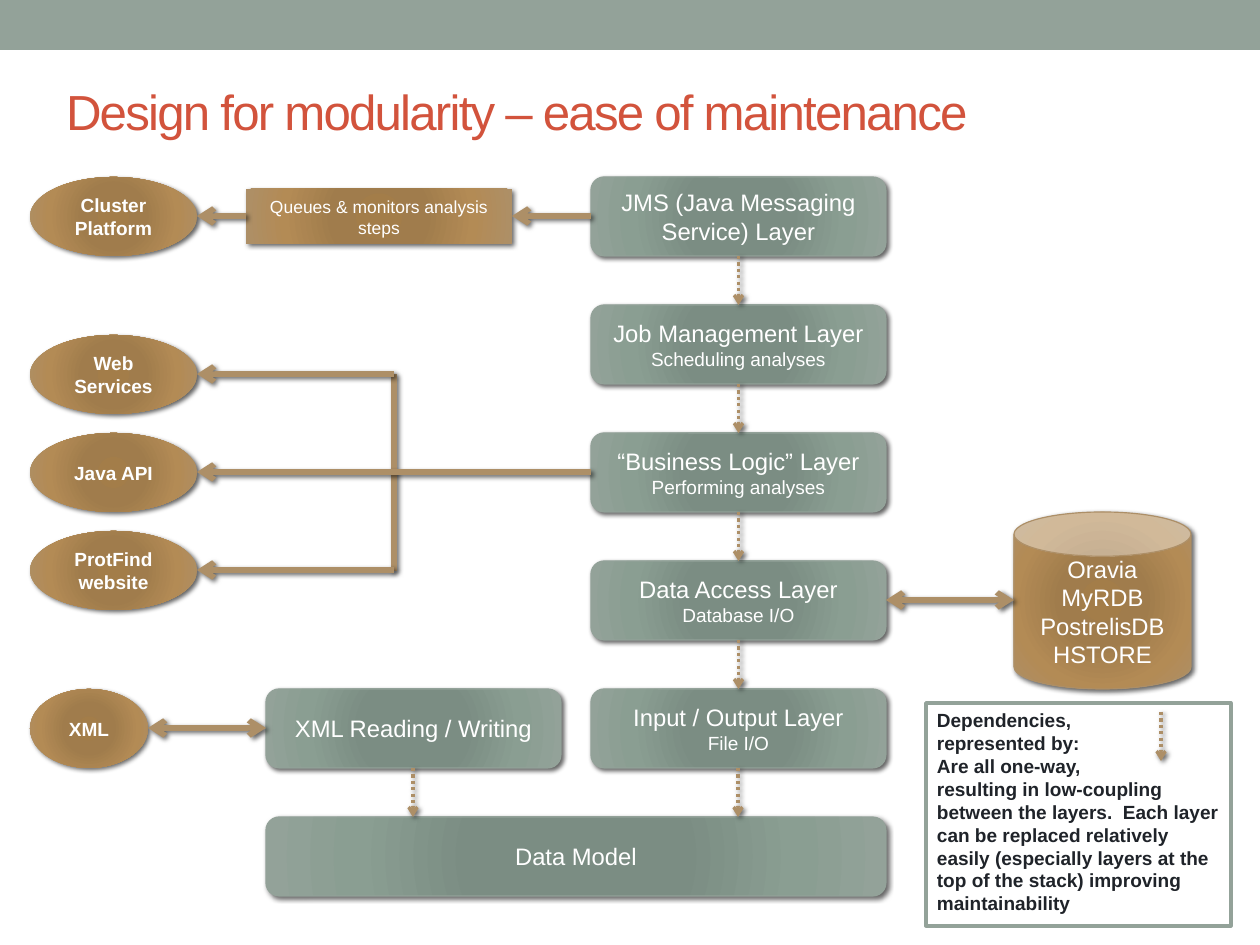
from dataclasses import dataclass
from itertools import pairwise

from lxml.etree import SubElement
from pptx import Presentation
from pptx.dml.color import RGBColor
from pptx.enum.dml import MSO_LINE_DASH_STYLE as Dash
from pptx.enum.shapes import MSO_CONNECTOR as Connector, MSO_SHAPE as Preset
from pptx.enum.text import MSO_ANCHOR as Anchor, MSO_AUTO_SIZE as AutoSize, PP_ALIGN as Align
from pptx.oxml.ns import qn
from pptx.util import Pt


@dataclass(frozen=True)
class Theme:
    font: str = "Arial"
    title: str = "D2533C"
    sage: str = "93A299"
    tan: str = "AD8F67"
    white: str = "FFFFFF"
    ink: str = "1F2329"
    shadow: str = "000000"
    sage_stops: tuple = ("7B8E82", "7B8D83", "8A9E92", "93A299")
    tan_stops: tuple = ("A37D49", "A07C4C", "B38B55", "AD8F67")
    stop_places: tuple = (0, 34, 70, 100)
    title_size: int = 31
    heading_size: int = 15
    body_size: int = 12
    small_size: int = 11
    flow_width: float = 3.5
    dependency_width: float = 2


THEME = Theme()
BOX_WIDTH, BOX_HEIGHT = 295, 79
COLUMN_LEFT, MODEL_LEFT = 591, 266
STACK_TOP, STACK_STEP = 177, 128
CLIENT_LEFT, CLIENT_WIDTH = 30, 167


def px(length):
    return length * 8000


def rgb(code):
    return RGBColor.from_string(code)


def add_shadow(effects):
    shadow = SubElement(effects, qn("a:outerShdw"), blurRad=str(Pt(3)), dist=str(Pt(2)),
                        dir="2700000", algn="tl", rotWithShape="0")
    color = SubElement(shadow, qn("a:srgbClr"), val=THEME.shadow)
    SubElement(color, qn("a:alpha"), val="60000")


def fill_radial(shape, colors):
    shape.fill.background()
    properties = shape.element.spPr
    gradient = SubElement(properties, qn("a:gradFill"), rotWithShape="1")
    stops = SubElement(gradient, qn("a:gsLst"))
    for place, color in zip(THEME.stop_places, colors):
        stop = SubElement(stops, qn("a:gs"), pos=str(place * 1000))
        SubElement(stop, qn("a:srgbClr"), val=color)
    circle = SubElement(gradient, qn("a:path"), {"path": "circle"})
    SubElement(circle, qn("a:fillToRect"), dict.fromkeys("ltrb", "100000"))
    properties.replace(properties.find(qn("a:noFill")), gradient)


def write(frame, lines, color, bold=False, align=Align.CENTER, anchor=Anchor.MIDDLE, inset=(13, 7)):
    frame.word_wrap = True
    frame.auto_size = AutoSize.NONE
    frame.vertical_anchor = anchor
    frame.margin_left = frame.margin_right = px(inset[0])
    frame.margin_top = frame.margin_bottom = px(inset[1])
    for index, (text, size) in enumerate(lines):
        paragraph = frame.add_paragraph() if index else frame.paragraphs[0]
        paragraph.alignment = align
        run = paragraph.add_run()
        run.text = text
        run.font.name = THEME.font
        run.font.size = Pt(size)
        run.font.bold = bold
        run.font.color.rgb = rgb(color)


def add_panel(slide, preset, place, fill, line=None, line_width=0.75):
    shape = slide.shapes.add_shape(preset, *map(px, place))
    if line:
        shape.line.color.rgb = rgb(line)
        shape.line.width = Pt(line_width)
    else:
        shape.line.fill.background()
    shape.shadow.inherit = False
    if isinstance(fill, tuple):
        fill_radial(shape, fill)
        add_shadow(shape.element.spPr.find(qn("a:effectLst")))
    else:
        shape.fill.solid()
        shape.fill.fore_color.rgb = rgb(fill)
    return shape


def add_layer(slide, left, top, title, detail=None, width=BOX_WIDTH):
    box = add_panel(slide, Preset.ROUNDED_RECTANGLE, (left, top, width, BOX_HEIGHT),
                    THEME.sage_stops, THEME.sage)
    lines = [(title, THEME.heading_size)]
    if detail:
        lines.append((detail, THEME.body_size))
    write(box.text_frame, lines, THEME.white)
    return box


def add_client(slide, top, text, width=CLIENT_WIDTH):
    oval = add_panel(slide, Preset.OVAL, (CLIENT_LEFT, top, width, BOX_HEIGHT), THEME.tan_stops)
    write(oval.text_frame, [(text, THEME.body_size)], THEME.white, bold=True)


def add_line(slide, start, end, ends=("tailEnd",), width=THEME.flow_width, dash=None):
    line = slide.shapes.add_connector(Connector.STRAIGHT, *map(px, (*start, *end)))
    line.line.color.rgb = rgb(THEME.tan)
    line.line.width = Pt(width)
    if dash:
        line.line.dash_style = dash
    properties = line.element.spPr
    for name in ends:
        SubElement(properties.find(qn("a:ln")), qn(f"a:{name}"), type="arrow")
    add_shadow(SubElement(properties, qn("a:effectLst")))
    return line


def add_dependency(slide, x, top):
    return add_line(slide, (x, top), (x, top + STACK_STEP - BOX_HEIGHT),
                    width=THEME.dependency_width, dash=Dash.ROUND_DOT)


def add_title(slide, text):
    title = slide.shapes.title
    title.left, title.top, title.width, title.height = map(px, (53, 39, 1138, 144))
    write(title.text_frame, [(text, THEME.title_size)], THEME.title, align=Align.LEFT)
    title.text_frame.paragraphs[0].runs[0].font._element.set("spc", "-110")


def add_stack(slide):
    layers = [("JMS (Java Messaging Service) Layer", None),
              ("Job Management Layer", "Scheduling analyses"),
              ("“Business Logic” Layer", "Performing analyses"),
              ("Data Access Layer", "Database I/O"),
              ("Input / Output Layer", "File I/O")]
    boxes = [add_layer(slide, COLUMN_LEFT, STACK_TOP + index * STACK_STEP, *layer)
             for index, layer in enumerate(layers)]
    io_top = STACK_TOP + 4 * STACK_STEP
    add_layer(slide, MODEL_LEFT, io_top, "XML Reading / Writing")
    add_layer(slide, MODEL_LEFT, io_top + STACK_STEP, "Data Model",
              width=COLUMN_LEFT + BOX_WIDTH - MODEL_LEFT)
    middle = COLUMN_LEFT + BOX_WIDTH // 2
    for index, (upper, lower) in enumerate(pairwise(boxes)):
        arrow = add_dependency(slide, middle, STACK_TOP + index * STACK_STEP + BOX_HEIGHT)
        arrow.begin_connect(upper, 2)
        arrow.end_connect(lower, 0)
    for x in (MODEL_LEFT + BOX_WIDTH // 2, middle):
        add_dependency(slide, x, io_top + BOX_HEIGHT)


def add_clients(slide):
    client_right, trunk = CLIENT_LEFT + CLIENT_WIDTH, 394
    add_client(slide, STACK_TOP, "Cluster Platform")
    queue = add_panel(slide, Preset.RECTANGLE, (246, 189, 266, 55), THEME.tan_stops)
    write(queue.text_frame, [("Queues & monitors analysis steps", THEME.small_size)],
          THEME.white, anchor=Anchor.TOP)
    for start, end in ((COLUMN_LEFT, 512), (246, client_right)):
        add_line(slide, (start, 216), (end, 216))

    add_line(slide, (trunk, 571), (trunk, 374), ends=())
    for index, (text, start) in enumerate([("Web Services", trunk), ("Java API", COLUMN_LEFT),
                                           ("ProtFind website", trunk)]):
        top = 335 + 98 * index
        add_client(slide, top, text)
        add_line(slide, (start, top + 39), (client_right, top + 39))

    add_client(slide, 689, "XML", width=118)
    add_line(slide, (148, 728), (MODEL_LEFT, 728), ends=("headEnd", "tailEnd"))


def add_databases(slide):
    store = add_panel(slide, Preset.CAN, (1014, 512, 177, 177), THEME.tan_stops, THEME.tan)
    names = ("Oravia", "MyRDB", "PostrelisDB", "HSTORE")
    write(store.text_frame, [(name, THEME.heading_size) for name in names], THEME.white)
    add_line(slide, (COLUMN_LEFT + BOX_WIDTH, 600), (1014, 600), ends=("headEnd", "tailEnd"))


def add_note(slide):
    note = add_panel(slide, Preset.RECTANGLE, (926, 703, 305, 223), THEME.white, THEME.sage, 2.08)
    lines = ("Dependencies,", "represented by:", "Are all one-way,",
             "resulting in low-coupling between the layers.  Each layer can be replaced relatively "
             "easily (especially layers at the top of the stack) improving maintainability")
    write(note.text_frame, [(line, THEME.body_size) for line in lines], THEME.ink, bold=True,
          align=Align.LEFT, anchor=Anchor.TOP, inset=(11, 6))
    add_dependency(slide, 1161, 712)


def main():
    presentation = Presentation()
    presentation.slide_width, presentation.slide_height = px(1260), px(945)
    slide = presentation.slides.add_slide(presentation.slide_layouts[5])
    add_panel(slide, Preset.RECTANGLE, (0, 0, 1260, 50), THEME.sage)
    add_title(slide, "Design for modularity – ease of maintenance")
    add_stack(slide)
    add_clients(slide)
    add_databases(slide)
    add_note(slide)
    presentation.save("out.pptx")


main()
